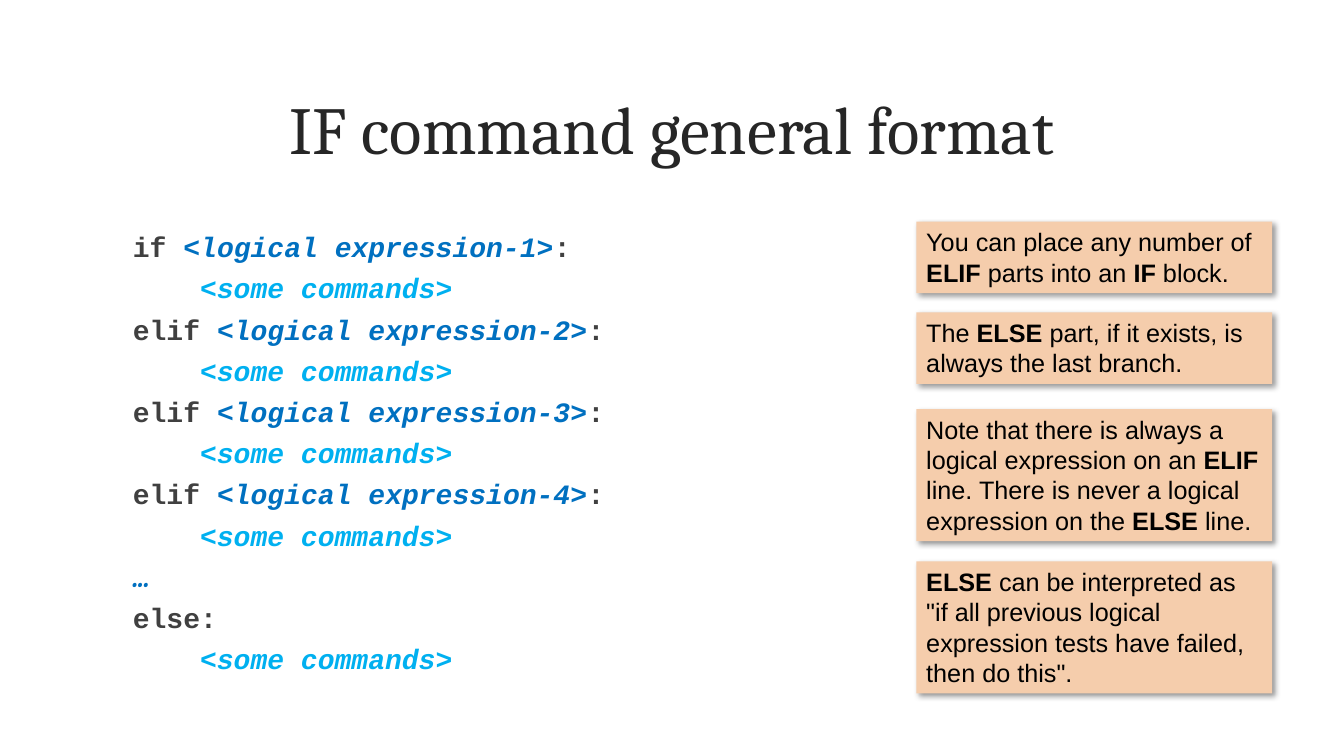
from lxml.etree import SubElement
from pptx import Presentation
from pptx.dml.color import RGBColor
from pptx.enum.shapes import MSO_SHAPE
from pptx.enum.text import MSO_ANCHOR, MSO_AUTO_SIZE, PP_ALIGN
from pptx.oxml.ns import qn
from pptx.util import Inches, Pt

WIDTH, HEIGHT = Inches(13.33), Inches(7.5)

INK = RGBColor(0x26, 0x26, 0x26)
GREY = RGBColor(0x40, 0x40, 0x40)
BLUE = RGBColor(0x00, 0x70, 0xC0)
CYAN = RGBColor(0x00, 0xB0, 0xF0)
PEACH = RGBColor(0xF5, 0xCD, 0xAC)
BLACK = RGBColor(0, 0, 0)

# Boxes are left, top, width, height in percent of the slide
TITLE_BOX = (6, 6.4, 88, 21.07)
CODE_BOX = (9.15, 29.73, 81.7, 60.53)
NOTES_BOX = (68.18, 29.33, 26.48, 62.4)
LINE_SHARE, PAD_SHARE = 4, 1.47
INDENT = Pt(48)  # four characters of code

# Offset from the top of the column, number of lines, text with *bold* parts
NOTES = [
    (0, 2, "You can place any number of *ELIF* parts into an *IF* block."),
    (12, 2, "The *ELSE* part, if it exists, is always the last branch."),
    (24.8, 4, "Note that there is always a logical expression on an *ELIF* line. "
              "There is never a logical expression on the *ELSE* line."),
    (44.93, 4, "*ELSE* can be interpreted as \"if all previous logical "
               "expression tests have failed, then do this\"."),
]


def scale(box):
    """Turn a box in percent into slide lengths."""
    left, top, width, height = box
    return (int(WIDTH * left / 100), int(HEIGHT * top / 100),
            int(WIDTH * width / 100), int(HEIGHT * height / 100))


def add_run(para, text, face, size, color, bold=False, italic=False):
    run = para.add_run()
    run.text = text
    font = run.font
    font.name, font.size = face, Pt(size)
    font.bold, font.italic = bold, italic
    font.color.rgb = color


def add_title(slide, box):
    title = slide.shapes.title
    title.left, title.top, title.width, title.height = scale(box)
    frame = title.text_frame
    frame.vertical_anchor = MSO_ANCHOR.MIDDLE
    para = frame.paragraphs[0]
    para.alignment = PP_ALIGN.CENTER
    add_run(para, "IF command general format", "Cambria", 48, INK)


def code_lines():
    """Yield each line as its indent and its (text, face, color, italic) runs."""
    mono = "Courier New"
    command = (INDENT, [("<some commands>", mono, CYAN, True)])
    for num in range(1, 5):
        word = "if " if num == 1 else "elif "
        yield 0, [(word, mono, GREY, False),
                  (f"<logical expression-{num}>", mono, BLUE, True),
                  (":", mono, GREY, False)]
        yield command
    yield 0, [("...", "Cambria", BLUE, True)]
    yield 0, [("else:", mono, GREY, False)]
    yield command


def add_code(slide, box):
    frame = slide.shapes.add_textbox(*scale(box)).text_frame
    frame.word_wrap = True
    for row, (indent, runs) in enumerate(code_lines()):
        para = frame.add_paragraph() if row else frame.paragraphs[0]
        para.space_before = Pt(5.4)
        props = para._p.get_or_add_pPr()
        props.set("marL", str(indent))
        props.set("indent", "0")
        for text, face, color, italic in runs:
            add_run(para, text, face, 20, color, True, italic)


def add_shadow(shape):
    shape.shadow.inherit = False
    effects = shape._element.spPr.find(qn("a:effectLst"))
    outer = SubElement(effects, qn("a:outerShdw"), blurRad=str(Pt(4)),
                       dist=str(Pt(3)), dir=str(45 * 60000),
                       algn="tl", rotWithShape="0")
    color = SubElement(outer, qn("a:srgbClr"), val=str(BLACK))
    SubElement(color, qn("a:alpha"), val="40000")


def add_note(slide, box, text):
    note = slide.shapes.add_shape(MSO_SHAPE.RECTANGLE, *scale(box))
    note.fill.solid()
    note.fill.fore_color.rgb = PEACH
    note.line.fill.background()
    add_shadow(note)
    frame = note.text_frame
    frame.word_wrap = True
    frame.auto_size = MSO_AUTO_SIZE.SHAPE_TO_FIT_TEXT
    frame.vertical_anchor = MSO_ANCHOR.TOP
    para = frame.paragraphs[0]
    para.alignment = PP_ALIGN.LEFT
    for part, words in enumerate(text.split("*")):
        if words:
            add_run(para, words, "Arial", 18, BLACK, part % 2 == 1)


def add_notes(slide, box):
    left, top, width, _ = box
    for offset, lines, text in NOTES:
        height = PAD_SHARE + lines * LINE_SHARE
        add_note(slide, (left, top + offset, width, height), text)


def main():
    deck = Presentation()
    deck.slide_width, deck.slide_height = WIDTH, HEIGHT
    slide = deck.slides.add_slide(deck.slide_layouts[5])
    add_title(slide, TITLE_BOX)
    add_code(slide, CODE_BOX)
    add_notes(slide, NOTES_BOX)
    deck.save("out.pptx")


if __name__ == "__main__":
    main()
